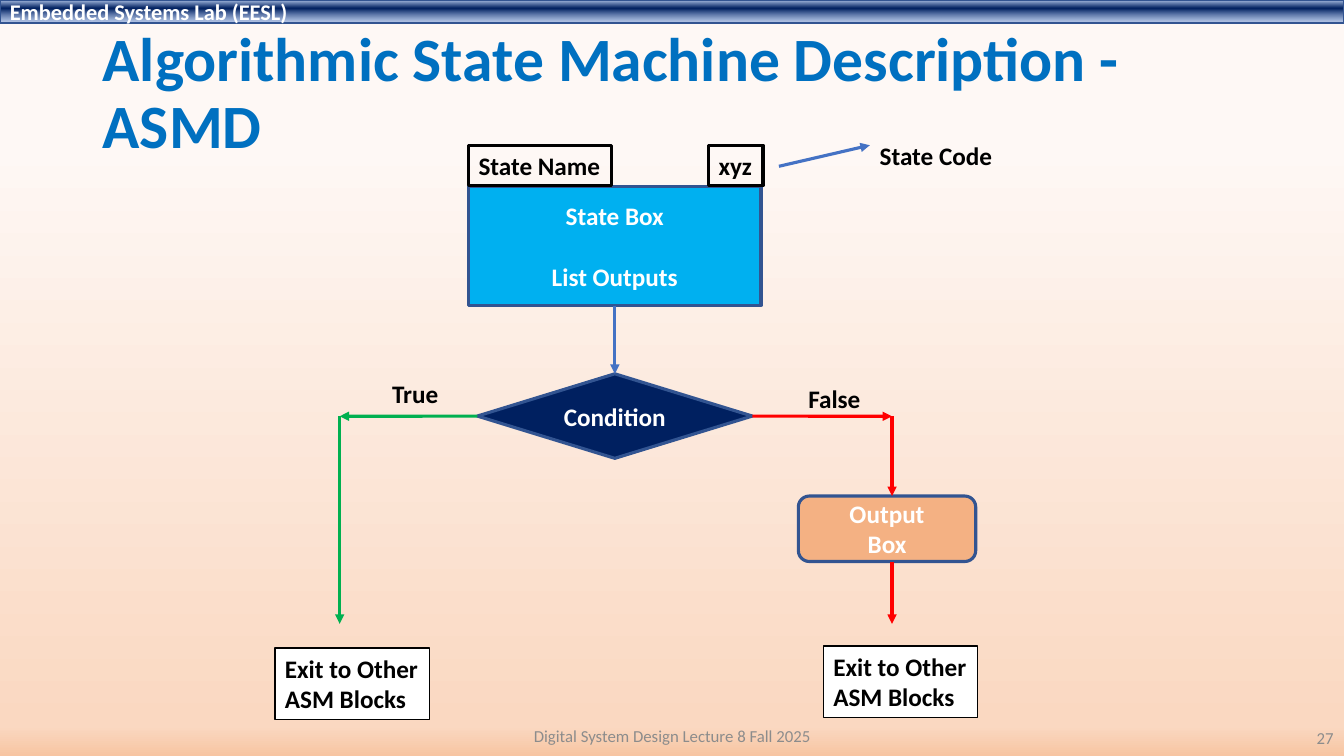
from dataclasses import dataclass
from lxml.etree import SubElement
from pptx import Presentation
from pptx.dml.color import RGBColor
from pptx.enum.shapes import MSO_CONNECTOR, MSO_SHAPE
from pptx.enum.text import MSO_ANCHOR, PP_ALIGN
from pptx.oxml.ns import qn
from pptx.util import Cm, Pt


@dataclass(frozen=True)
class Theme:
    font: str = "Calibri"
    title_size: int = 44
    header_size: int = 16
    body_size: int = 18
    footer_size: int = 12
    thick: float = 2.25
    thin: float = 1
    white: str = "FFFFFF"
    black: str = "000000"
    title: str = "0070C0"
    muted: str = "8C8C8C"
    outline: str = "325491"
    state: str = "00B0F0"
    navy: str = "002060"
    output: str = "F4B183"
    flow: str = "4472C4"
    true: str = "00B050"
    false: str = "FF0000"
    bar: tuple = ((2, "ABC0E4", 100), (38, "002060", 100), (93, "7E9ED6", 64))
    backdrop: tuple = ((19, "FEF8F5", 97), (96, "FAD8C1", 100), (100, "F7C5A2", 100))


def write(tf, text, size, color, bold=True, align=PP_ALIGN.LEFT,
          anchor=MSO_ANCHOR.MIDDLE, wrap=True, gap=0, spacing=None, font="Calibri"):
    tf.word_wrap = wrap
    tf.vertical_anchor = anchor
    for i, line in enumerate(text.split("\n")):
        p = tf.add_paragraph() if i else tf.paragraphs[0]
        p.alignment = align
        if i and gap:
            p.space_before = Pt(gap)
        if spacing:
            p.line_spacing = spacing
        r = p.add_run()
        r.text = line
        r.font.name = font
        r.font.size = Pt(size)
        r.font.bold = bold
        r.font.color.rgb = RGBColor.from_string(color)


class Deck:
    def __init__(self, theme):
        self.theme = theme
        self.prs = Presentation()
        self.prs.slide_width, self.prs.slide_height = Cm(33.87), Cm(19.05)
        self.s = self.prs.slides.add_slide(self.prs.slide_layouts[6])

    def gradient(self, fill, element, stops):
        fill.gradient()
        fill.gradient_angle = 270
        gs_list = element.find(".//" + qn("a:gsLst"))
        for gs in list(gs_list):
            gs_list.remove(gs)
        for pos, color, alpha in stops:
            gs = SubElement(gs_list, qn("a:gs"), pos=str(pos * 1000))
            rgb = SubElement(gs, qn("a:srgbClr"), val=color)
            if alpha < 100:
                SubElement(rgb, qn("a:alpha"), val=str(alpha * 1000))

    def background(self):
        self.gradient(self.s.background.fill, self.s.element, self.theme.backdrop)

    def shape(self, kind, box, fill, text, width=None, size=None, **fmt):
        t = self.theme
        sp = self.s.shapes.add_shape(kind, *map(Cm, box))
        sp.shadow.inherit = False
        if isinstance(fill, tuple):
            self.gradient(sp.fill, sp.element, fill)
        else:
            sp.fill.solid()
            sp.fill.fore_color.rgb = RGBColor.from_string(fill)
        sp.line.color.rgb = RGBColor.from_string(t.outline)
        sp.line.width = Pt(width or t.thick)
        write(sp.text_frame, text, size or t.body_size, t.white, font=t.font, **fmt)
        return sp

    def text(self, box, text, size, color, **fmt):
        sp = self.s.shapes.add_textbox(*map(Cm, box))
        write(sp.text_frame, text, size, color, font=self.theme.font, **fmt)
        return sp

    def label(self, box, text, border=None, fill=None):
        t = self.theme
        sp = self.text(box, text, t.body_size, t.black, anchor=MSO_ANCHOR.TOP, wrap=False)
        if border:
            sp.line.color.rgb = RGBColor.from_string(t.black)
            sp.line.width = Pt(border)
        if fill:
            sp.fill.solid()
            sp.fill.fore_color.rgb = RGBColor.from_string(fill)

    def arrow(self, start, end, color, begin=None, finish=None):
        c = self.s.shapes.add_connector(MSO_CONNECTOR.STRAIGHT, *map(Cm, (*start, *end)))
        if begin:
            c.begin_connect(*begin)
        if finish:
            c.end_connect(*finish)
        c.line.color.rgb = RGBColor.from_string(color)
        c.line.width = Pt(self.theme.thick)
        SubElement(c.line._get_or_add_ln(), qn("a:tailEnd"), type="triangle")
        SubElement(c.element.spPr, qn("a:effectLst"))


def main():
    t = Theme()
    d = Deck(t)
    center = PP_ALIGN.CENTER
    d.background()
    d.shape(MSO_SHAPE.RECTANGLE, (0, 0, 33.87, 0.58), t.bar,
            "Embedded Systems Lab (EESL)", width=t.thin, size=t.header_size)
    d.text((2.34, 0.56, 29.21, 3.68), "Algorithmic State Machine Description - ASMD",
           t.title_size, t.title, spacing=0.9)

    state = d.shape(MSO_SHAPE.RECTANGLE, (11.81, 4.7, 7.37, 3), t.state,
                    "State Box\nList Outputs", align=center, gap=21.6)
    condition = d.shape(MSO_SHAPE.FLOWCHART_DECISION, (12.03, 9.42, 6.93, 2.13),
                        t.navy, "Condition", align=center)
    d.shape(MSO_SHAPE.FLOWCHART_ALTERNATE_PROCESS, (20.12, 12.5, 4.47, 1.65),
            t.output, "Output\nBox", align=center)

    mid, branch_y, exit_y = 15.49, 10.49, 15.72
    true_x, false_x = 8.56, 22.48
    d.arrow((mid, 7.7), (mid, 9.42), t.flow, (state, 2), (condition, 0))
    d.arrow((12.03, branch_y), (true_x, branch_y), t.true, (condition, 1))
    d.arrow((true_x, branch_y), (true_x, exit_y), t.true)
    d.arrow((18.96, branch_y), (false_x, branch_y), t.false, (condition, 3))
    d.arrow((false_x, branch_y), (false_x, 12.5), t.false)
    d.arrow((false_x, 14.15), (false_x, exit_y), t.false)
    d.arrow((19.63, 4.19), (21.92, 3.66), t.flow)

    d.label((17.86, 3.66, 1.37, 1.02), "xyz", t.thick)
    d.label((11.81, 3.66, 3.61, 1.02), "State Name", t.thick)
    d.label((9.63, 9.42, 1.68, 1.02), "True")
    d.label((20.12, 9.53, 1.83, 1.02), "False")
    d.label((21.92, 3.4, 3.38, 1.02), "State Code")
    for x, y in ((20.75, 16.28), (6.93, 16.33)):
        d.label((x, y, 3.89, 1.8), "Exit to Other\nASM Blocks", t.thin, t.white)

    d.text((11.23, 18.03, 11.43, 1.02), "Digital System Design Lecture 8 Fall 2025",
           t.footer_size, t.muted, bold=False, align=center)
    d.text((26.24, 18.08, 7.62, 1.02), "27", t.footer_size, t.muted,
           bold=False, align=PP_ALIGN.RIGHT)
    d.prs.save("out.pptx")


if __name__ == "__main__":
    main()
